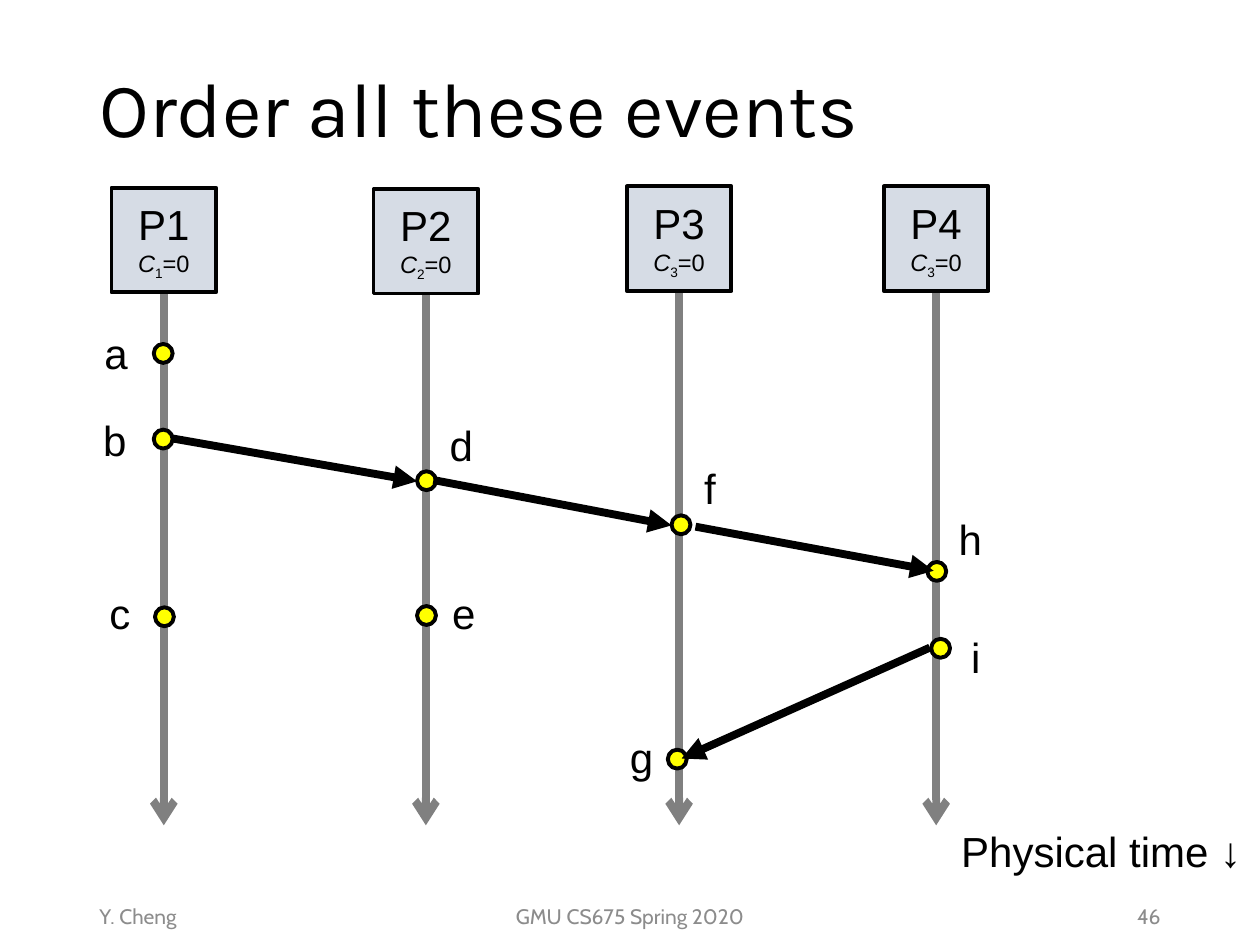
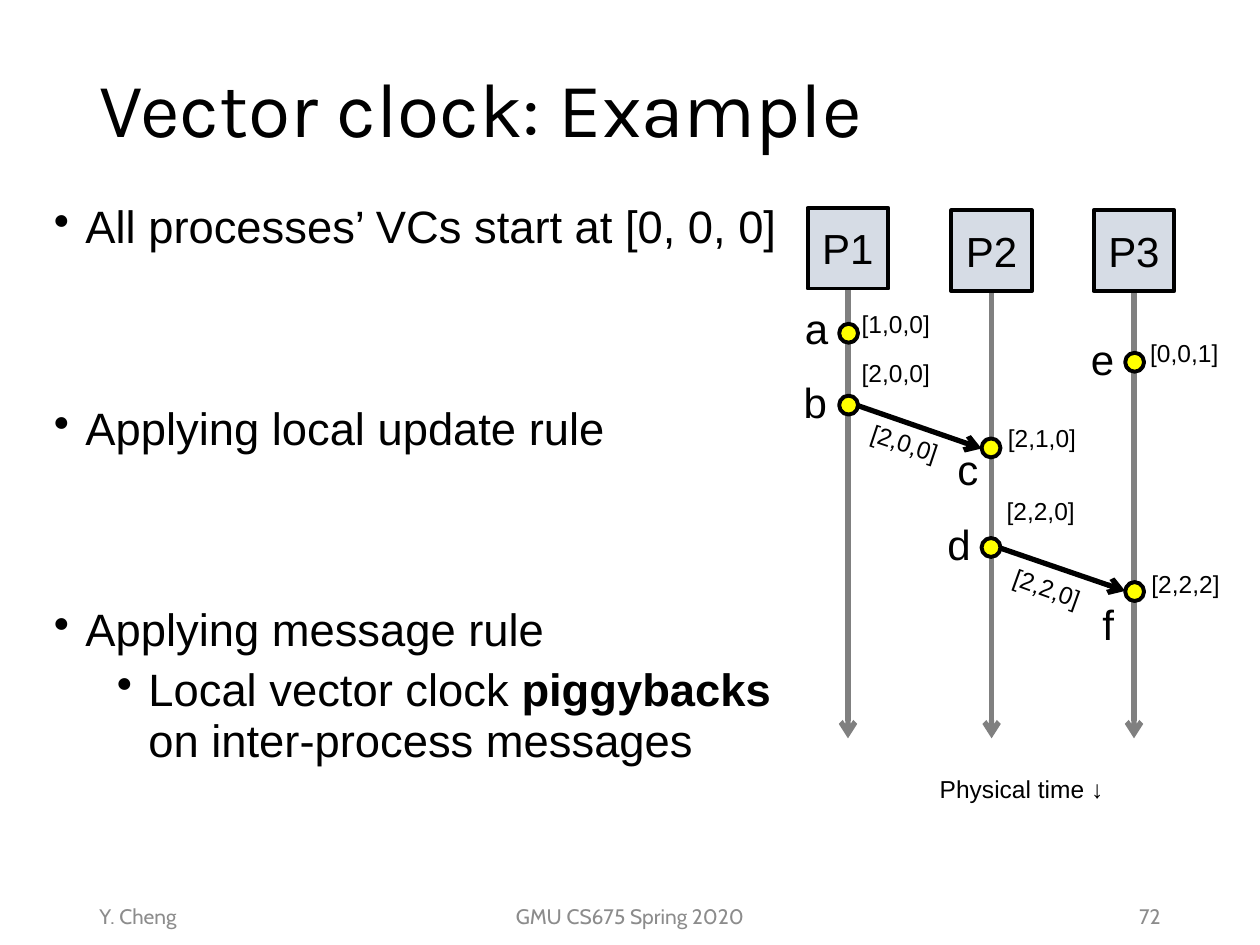
"""Build two slides on event ordering and vector clocks."""
from dataclasses import dataclass

from lxml import etree
from pptx import Presentation, util as u
from pptx.dml.color import RGBColor
from pptx.enum import shapes, text
from pptx.oxml import ns

PX = 9144


@dataclass(frozen=True)
class Theme:
    """Colours, fonts and type sizes."""
    ink: str = "000000"
    muted: str = "8C8C8C"
    timeline: str = "808080"
    process: str = "D6DCE5"
    event: str = "FFFF00"
    title_font: str = "Karla"
    body_font: str = "Arial"
    footer_font: str = "Cabin"
    title: float = 44
    bullet: float = 25.9
    label: float = 24
    small: float = 14
    clock: float = 13.5
    footer: float = 12
    outline: float = 2.25


def px(*lengths):
    """Turn px lengths into EMU."""
    return [u.Emu(length * PX) for length in lengths]


def write(para, words, size, font="Arial", color="000000", bold=False, italic=False, base=0):
    """Add a formatted run to a paragraph."""
    span = para.add_run()
    span.text = words
    span.font.size, span.font.name = u.Pt(size), font
    span.font.bold, span.font.italic = bold, italic
    span.font.color.rgb = RGBColor.from_string(color)
    if base:
        span._r.get_or_add_rPr().set("baseline", str(base * 1000))


class SlideBuilder:
    """Draws each kind of element on the current slide."""

    def __init__(self, theme):
        """Open an empty 10 by 7.5 inch deck."""
        self.theme = theme
        self.deck = Presentation()
        self.deck.slide_width, self.deck.slide_height = px(1000, 750)
        self.page = None

    def start(self, title, number):
        """Begin a page with its title and footers."""
        t = self.theme
        self.page = self.deck.slides.add_slide(self.deck.slide_layouts[6])
        middle = text.MSO_ANCHOR.MIDDLE
        self.label(title, 69, 17, 862, 145, wrap=True, anchor=middle, spacing=0.9,
                   size=t.title, font=t.title_font)
        footers = [("Y. Cheng", 69, 225, text.PP_ALIGN.LEFT),
                   ("GMU CS675 Spring 2020", 331, 338, text.PP_ALIGN.CENTER),
                   (str(number), 706, 225, text.PP_ALIGN.RIGHT)]
        for words, left, width, align in footers:
            self.label(words, left, 707, width, 40, wrap=True, anchor=middle, align=align,
                       size=t.footer, font=t.footer_font, color=t.muted)

    def label(self, words, left, top, width, height, wrap=False, anchor=text.MSO_ANCHOR.TOP,
              align=text.PP_ALIGN.LEFT, spacing=None, turn=0, **style):
        """Add a text box with one paragraph."""
        box = self.page.shapes.add_textbox(*px(left, top, width, height))
        box.rotation = turn
        frame = box.text_frame
        frame.word_wrap, frame.vertical_anchor = wrap, anchor
        if not wrap:
            frame.auto_size = text.MSO_AUTO_SIZE.SHAPE_TO_FIT_TEXT
        para = frame.paragraphs[0]
        para.alignment, para.line_spacing = align, spacing
        write(para, words, **style)

    def shape(self, kind, left, top, size, fill):
        """Add an outlined square preset shape."""
        box = self.page.shapes.add_shape(kind, left, top, size, size)
        box.shadow.inherit = False
        box.fill.solid()
        box.fill.fore_color.rgb = RGBColor.from_string(fill)
        box.line.color.rgb = RGBColor.from_string(self.theme.ink)
        box.line.width = u.Pt(self.theme.outline)
        return box

    def arrow(self, start, end, color, weight, head):
        """Add a straight line with an arrowhead at its end."""
        line = self.page.shapes.add_connector(shapes.MSO_CONNECTOR.STRAIGHT, *px(*start, *end))
        line.line.color.rgb = RGBColor.from_string(color)
        line.line.width = u.Pt(weight)
        etree.SubElement(line.line._get_or_add_ln(), ns.qn("a:tailEnd"), type=head)
        etree.SubElement(line._element.spPr, ns.qn("a:effectLst"))
        return line

    def process(self, name, center, top, size, end, weight, clock=None):
        """Add a process box joined to its timeline."""
        t = self.theme
        line = self.arrow((center, top + size), (center, end), t.timeline, weight, "arrow")
        middle, upper, side = px(center, top, size)
        box = self.shape(shapes.MSO_SHAPE.FLOWCHART_PROCESS, middle - side // 2, upper, side,
                         t.process)
        line.begin_connect(box, 2)
        frame = box.text_frame
        frame.word_wrap, frame.vertical_anchor = True, text.MSO_ANCHOR.MIDDLE
        para = frame.paragraphs[0]
        para.alignment = text.PP_ALIGN.CENTER
        write(para, name, t.label)
        if clock:
            para = frame.add_paragraph()
            para.alignment = text.PP_ALIGN.CENTER
            write(para, "C", t.clock, italic=True)
            write(para, clock, t.clock, base=-25)
            write(para, "=0", t.clock)

    def event(self, name, dot, place):
        """Add an event dot and its letter."""
        t = self.theme
        self.shape(shapes.MSO_SHAPE.OVAL, *px(*dot, 15), t.event)
        width = {"c": 37, "f": 29, "i": 27}.get(name, 39)
        self.label(name, *place, width, 50, size=t.label)

    def bullets(self, area, items):
        """Add bulleted paragraphs of (level, space before, runs)."""
        frame = self.page.shapes.add_textbox(*px(*area)).text_frame
        frame.word_wrap = True
        for index, (level, before, runs) in enumerate(items):
            para = frame.add_paragraph() if index else frame.paragraphs[0]
            props = para._p.get_or_add_pPr()
            margin, hang = px(25 + 50 * level, 25)
            props.set("marL", str(margin))
            props.set("indent", str(-hang))
            etree.SubElement(props, ns.qn("a:buChar"), char="•")
            para.level, para.line_spacing = level, 0.94
            if index:
                para.space_before = u.Pt(before)
            for words, bold in runs:
                write(para, words, self.theme.bullet, bold=bold)


def order_events(draw):
    """Draw four processes whose events need an order."""
    t = draw.theme
    draw.start("Order all these events", 46)
    processes = [("P1", 130, 149, "1"), ("P2", 338, 150, "2"),
                 ("P3", 539, 148, "3"), ("P4", 743, 148, "3")]
    for name, center, top, clock in processes:
        draw.process(name, center, top, 83, 655, 4.5, clock)
    events = [("a", (122, 273), (73, 255)), ("b", (122, 341), (72, 324)),
              ("c", (123, 482), (77, 461)), ("d", (331, 374), (347, 328)),
              ("e", (331, 481), (349, 461)), ("f", (533, 409), (549, 362)),
              ("g", (530, 595), (490, 576)), ("h", (736, 446), (751, 403)),
              ("i", (739, 507), (761, 496))]
    for event in events:
        draw.event(*event)
    messages = [((137, 348), (331, 382)), ((344, 381), (533, 417)),
                ((552, 418), (741, 453)), ((738, 514), (541, 602))]
    for start, end in messages:
        draw.arrow(start, end, t.ink, 4.5, "triangle")
    draw.label("Physical time ↓", 753, 650, 245, 50, size=t.label)


def vector_clock(draw):
    """Draw the vector clock rules beside a worked example."""
    t = draw.theme
    draw.start("Vector clock: Example", 72)
    draw.bullets((33, 156, 597, 485), [
        (0, 0, [("All processes’ VCs start at [0, 0, 0]", False)]),
        (0, 86, [("Applying local update rule", False)]),
        (0, 86, [("Applying message rule", False)]),
        (1, 5, [("Local vector clock ", False), ("piggybacks", True),
                (" on inter-process messages", False)])])
    for name, center, top in [("P1", 673, 165), ("P2", 787, 167), ("P3", 900, 167)]:
        draw.process(name, center, top, 64, 586, 3)
    events = [("a", (666, 257), (629, 235)), ("b", (666, 314), (628, 294)),
              ("c", (779, 348), (750, 347)), ("d", (779, 427), (742, 407)),
              ("e", (893, 280), (856, 260)), ("f", (893, 462), (865, 470))]
    for event in events:
        draw.event(*event)
    for start, end in [((681, 322), (779, 356)), ((794, 435), (893, 469))]:
        draw.arrow(start, end, t.ink, 3, "arrow")
    clocks = [("[1,0,0]", 674, 240, 0), ("[2,0,0]", 674, 279, 0), ("[2,0,0]", 681, 335, 18.5),
              ("[2,1,0]", 790, 331, 0), ("[2,2,0]", 789, 389, 0), ("[2,2,0]", 794, 450, 19.8),
              ("[2,2,2]", 904, 447, 0), ("[0,0,1]", 903, 263, 0)]
    for words, left, top, turn in clocks:
        draw.label(words, left, top, 75, 34, turn=turn, size=t.small)
    draw.label("Physical time ↓", 736, 609, 151, 34, size=t.small)


def main():
    """Build and save the deck."""
    draw = SlideBuilder(Theme())
    order_events(draw)
    vector_clock(draw)
    draw.deck.save("out.pptx")


if __name__ == "__main__":
    main()
